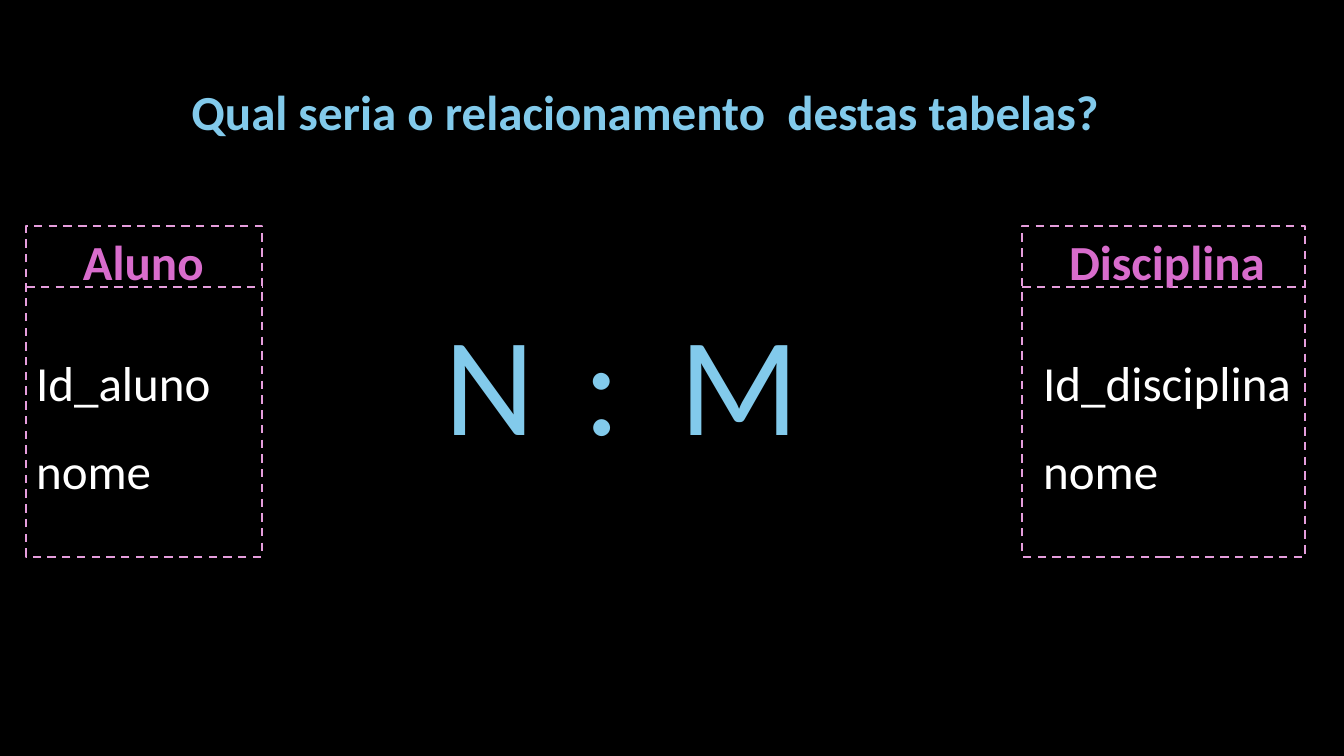
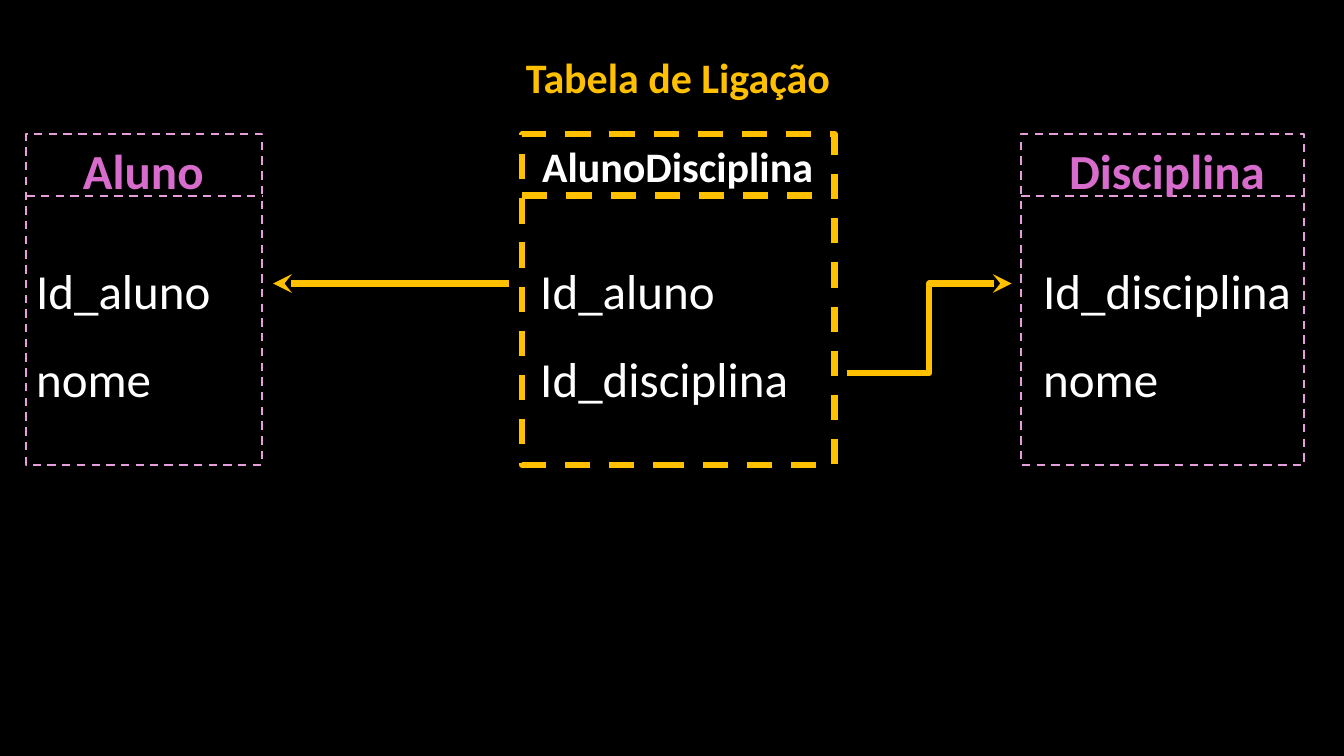
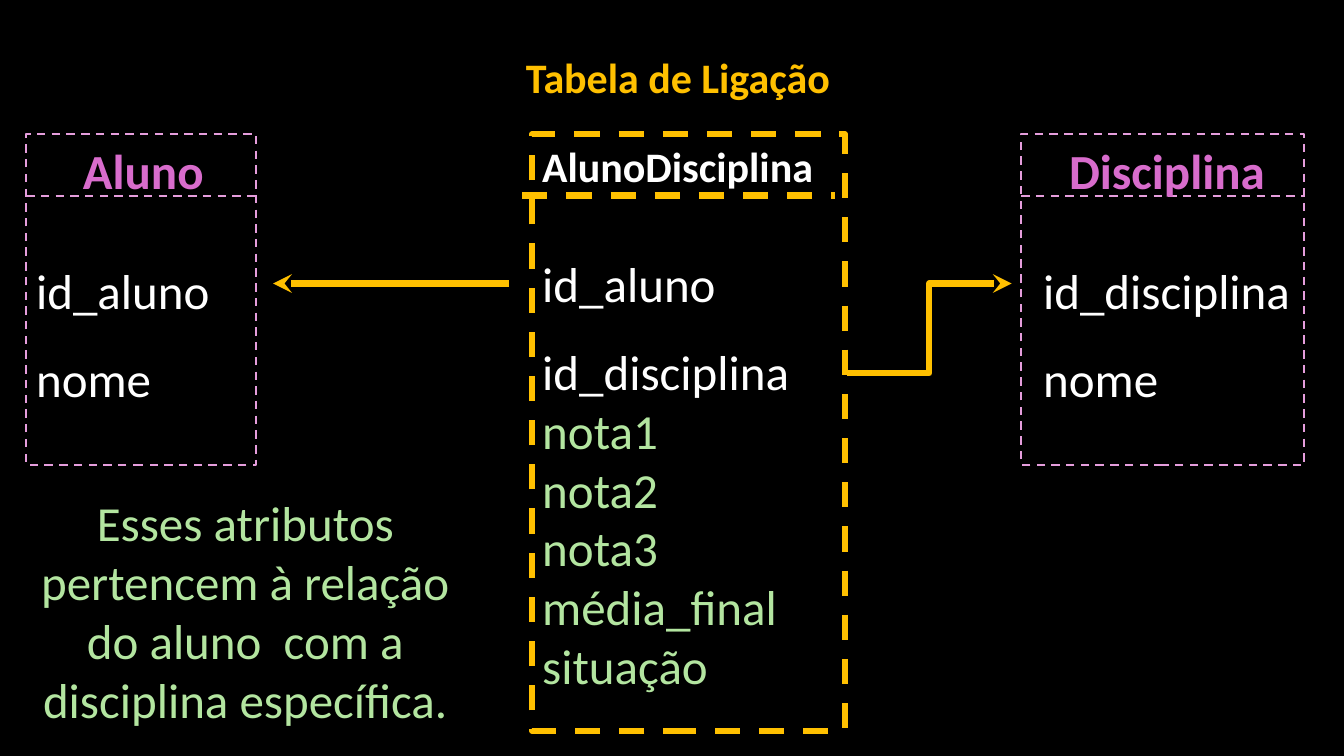
"""Builds three slides on a many-to-many relationship and its link table."""
from lxml.etree import SubElement
from pptx import Presentation
from pptx.dml.color import RGBColor
from pptx.enum.dml import MSO_LINE
from pptx.enum.shapes import MSO_CONNECTOR, MSO_SHAPE
from pptx.enum.text import MSO_AUTO_SIZE, PP_ALIGN
from pptx.oxml.ns import qn
from pptx.util import Pt

FONT = "Calibri"
BLACK, WHITE = "000000", "FFFFFF"
BLUE, GOLD, GREEN = "82CAEB", "FFC000", "B3E5A0"
PINK, PALE_PINK = "D86CCC", "E59DDC"
RULE_DROP = 43.9
THIN, THICK = 1.5, 4.5


def write(slide, left, top, width, height, paragraphs, size=35, bold=False, align=PP_ALIGN.LEFT):
    """Add text; each paragraph is (words, colour, line spacing)."""
    frame = slide.shapes.add_textbox(Pt(left), Pt(top), Pt(width), Pt(height)).text_frame
    frame.word_wrap = True
    frame.auto_size = MSO_AUTO_SIZE.SHAPE_TO_FIT_TEXT
    frame.text = "\n".join(words for words, _, _ in paragraphs)
    for paragraph, (_, colour, spacing) in zip(frame.paragraphs, paragraphs):
        paragraph.alignment = align
        paragraph.line_spacing = spacing
        font = paragraph.runs[0].font
        font.name, font.size, font.bold = FONT, Pt(size), bold
        font.color.rgb = RGBColor.from_string(colour)


def connect(slide, kind, start, end, colour, weight, arrow=False):
    """Add a dashed rule, or a solid line with an arrowhead."""
    connector = slide.shapes.add_connector(kind, *map(Pt, start + end))
    connector.line.color.rgb = RGBColor.from_string(colour)
    connector.line.width = Pt(weight)
    properties = connector._element.spPr
    if arrow:
        SubElement(properties.find(qn("a:ln")), qn("a:tailEnd"), type="stealth")
    else:
        connector.line.dash_style = MSO_LINE.DASH
    SubElement(properties, qn("a:effectLst"))


presentation = Presentation()
presentation.slide_width, presentation.slide_height = Pt(960), Pt(540)
backdrop = presentation.slide_master.background.fill
backdrop.solid()
backdrop.fore_color.rgb = RGBColor.from_string(BLACK)
blank = presentation.slide_layouts[6]
question, link, link_attributes = [presentation.slides.add_slide(blank) for _ in range(3)]

entities = []
for slide, top, student_width, subject_left, prefix in [
    (question, 161.4, 168.5, 730.1, "Id"),
    (link, 95.8, 168.5, 729.4, "Id"),
    (link_attributes, 95.8, 164.2, 729.4, "id"),
]:
    entities += [
        (slide, 18.7, top, student_width, 236.2, 18.7, PALE_PINK, THIN,
         "Aluno", 52.2, 102, PINK, 35,
         18.7, top + 65.8, 168.5, [f"{prefix}_aluno", "nome"], []),
        (slide, subject_left, top, 202.4, 236.2, subject_left, PALE_PINK, THIN,
         "Disciplina", 756.5, 170, PINK, 35,
         738, top + 65.8, 215, [f"{prefix}_disciplina", "nome"], []),
    ]
entities += [
    (link, 373, 95.8, 223.2, 236.2, 373, GOLD, THICK,
     "AlunoDisciplina", 380.2, 211, WHITE, 30,
     378.8, 161.4, 212, ["Id_aluno", "Id_disciplina"], []),
    (link_attributes, 380.2, 95.8, 223.2, 426.2, 373, GOLD, THICK,
     "AlunoDisciplina", 380.2, 211, WHITE, 30,
     380.2, 156.3, 212, ["id_aluno", "id_disciplina"],
     ["nota1", "nota2", "nota3", "média_final", "situação"]),
]

for (slide, left, top, width, height, rule_left, border, weight,
     name, name_left, name_width, name_colour, name_size,
     fields_left, fields_top, fields_width, keys, attributes) in entities:
    box = slide.shapes.add_shape(MSO_SHAPE.RECTANGLE, Pt(left), Pt(top), Pt(width), Pt(height))
    box.shadow.inherit = False
    box.fill.background()
    box.line.color.rgb = RGBColor.from_string(border)
    box.line.width = Pt(weight)
    box.line.dash_style = MSO_LINE.DASH
    rule_top = top + RULE_DROP
    connect(slide, MSO_CONNECTOR.STRAIGHT, (rule_left, rule_top),
            (rule_left + width, rule_top), border, weight)
    write(slide, name_left, top + 0.7, name_width, name_size * 1.22 + 7.2,
          [(name, name_colour, 1.0)], name_size, bold=True)
    fields = [(key, WHITE, 1.5) for key in keys]
    fields += [(attribute, GREEN, 1.0) for attribute in attributes]
    write(slide, fields_left, fields_top, fields_width, 134.6 + 42.4 * len(attributes), fields)

write(question, 129.6, 54.7, 669, 49.7,
      [("Qual seria o relacionamento  destas tabelas?", BLUE, 1.0)], bold=True)
for symbol, left, width in [("N", 310.3, 80), (":", 409.7, 42), ("M", 478.1, 101)]:
    write(question, left, 207.4, width, 128.2, [(symbol, BLUE, 1.0)], size=100)

for slide in (link, link_attributes):
    write(slide, 368.6, 33.1, 234, 43.9, [("Tabela de Ligação", GOLD, 1.0)], size=30, bold=True)
    connect(slide, MSO_CONNECTOR.STRAIGHT, (363.6, 202.5), (195.1, 202.5), GOLD, THICK, arrow=True)
    connect(slide, MSO_CONNECTOR.ELBOW, (605, 266.6), (722.6, 202.5), GOLD, THICK, arrow=True)

write(link_attributes, 18.7, 348.5, 313.2, 177.1,
      [("Esses atributos pertencem à relação do aluno  com a disciplina específica.", GREEN, 1.0)],
      align=PP_ALIGN.CENTER)

presentation.save("out.pptx")
